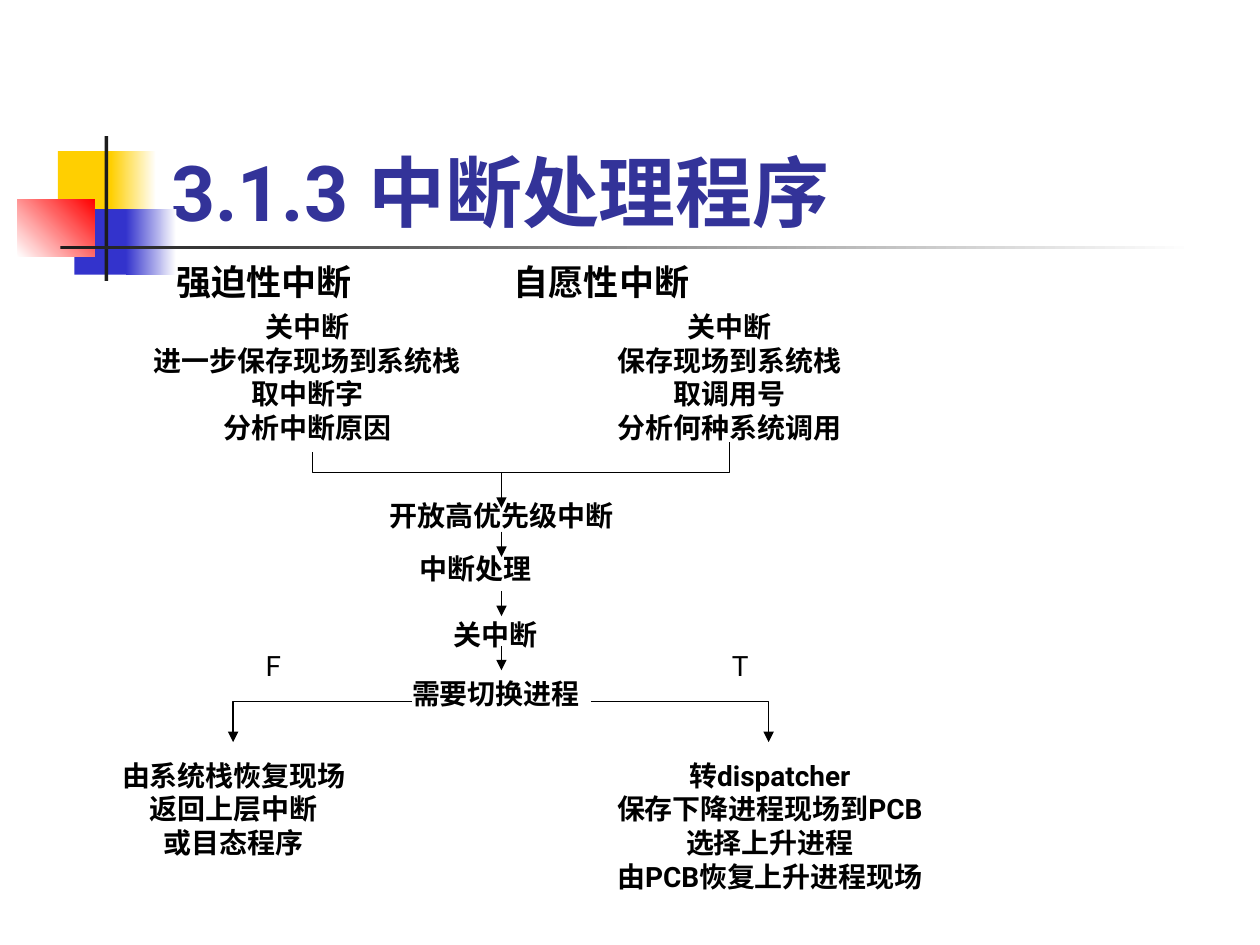
from dataclasses import dataclass

from lxml.etree import SubElement
from pptx import Presentation
from pptx.dml.color import RGBColor
from pptx.enum.shapes import MSO_CONNECTOR, MSO_SHAPE
from pptx.enum.text import MSO_ANCHOR, MSO_AUTO_SIZE, PP_ALIGN
from pptx.oxml.ns import qn
from pptx.util import Inches, Pt


@dataclass(frozen=True)
class Theme:
    font: str = "Roboto"
    title_size: int = 44
    heading_size: int = 20
    body_size: int = 16
    line_width: float = 0.75
    title: str = "333399"
    text: str = "000000"
    yellow: str = "FFCF01"
    blue: str = "3333CC"
    red: str = "FF0000"
    dark: str = "1C1C1C"
    white: str = "FFFFFF"


THEME = Theme()


def rgb(color):
    return RGBColor.from_string(color)


def add_run(p, text, size, color=THEME.text, bold=True):
    r = p.add_run()
    r.text = text
    r.font.name = THEME.font
    r.font.size = Pt(size)
    r.font.bold = bold
    r.font.color.rgb = rgb(color)
    SubElement(r.font._element, qn("a:ea"), typeface=THEME.font)


def add_title(slide, text):
    sp = slide.shapes.title
    sp.left, sp.top, sp.width, sp.height = map(Inches, (1.26, 0.68, 8.52, 1.25))
    tf = sp.text_frame
    tf.auto_size = MSO_AUTO_SIZE.NONE
    tf.vertical_anchor = MSO_ANCHOR.BOTTOM
    p = tf.paragraphs[0]
    p.alignment = PP_ALIGN.LEFT
    add_run(p, text, THEME.title_size, THEME.title)


def add_text(slide, box, *lines, size=THEME.body_size, align=PP_ALIGN.CENTER, bold=True):
    sp = slide.shapes.add_textbox(*map(Inches, box))
    tf = sp.text_frame
    tf.word_wrap = True
    tf.auto_size = MSO_AUTO_SIZE.SHAPE_TO_FIT_TEXT
    for i, line in enumerate(lines):
        p = tf.add_paragraph() if i else tf.paragraphs[0]
        p.alignment = align
        add_run(p, line, size, bold=bold)


def add_block(slide, box, start, end=None, angle=0):
    """Rectangle with a solid fill, or a gradient when an end colour is given."""
    sp = slide.shapes.add_shape(MSO_SHAPE.RECTANGLE, *map(Inches, box))
    sp.shadow.inherit = False
    sp.line.fill.background()
    if end is None:
        sp.fill.solid()
        sp.fill.fore_color.rgb = rgb(start)
        return
    sp.fill.gradient()
    sp.fill.gradient_angle = angle
    for stop, color in zip(sp.fill.gradient_stops, (start, end)):
        stop.color.rgb = rgb(color)


def style_line(line, arrow):
    line.color.rgb = rgb(THEME.text)
    line.width = Pt(THEME.line_width)
    if arrow:
        SubElement(line._get_or_add_ln(), qn("a:tailEnd"), type="triangle")


def add_arrow(slide, x, top, bottom):
    cx = slide.shapes.add_connector(
        MSO_CONNECTOR.STRAIGHT, Inches(x), Inches(top), Inches(x), Inches(bottom))
    style_line(cx.line, arrow=True)
    SubElement(cx._element.spPr, qn("a:effectLst"))


def add_path(slide, points, arrow=False):
    first, *rest = [(Inches(x), Inches(y)) for x, y in points]
    builder = slide.shapes.build_freeform(*first)
    builder.add_line_segments(rest, close=False)
    sp = builder.convert_to_shape()
    sp.shadow.inherit = False
    sp.fill.background()
    style_line(sp.line, arrow)


def add_decoration(slide):
    t = THEME
    add_block(slide, (0.46, 1.2, 0.48, 0.52), t.yellow)
    add_block(slide, (0.88, 1.2, 0.36, 0.52), t.yellow, t.white)
    add_block(slide, (0.59, 1.66, 0.46, 0.52), t.blue)
    add_block(slide, (1, 1.66, 0.4, 0.52), t.blue, t.white)
    add_block(slide, (0.14, 1.58, 0.61, 0.46), t.white, t.red, angle=45)
    add_block(slide, (0.83, 1.08, 0.03, 1.15), t.dark)
    add_block(slide, (0.48, 1.95, 9, 0.03), t.dark, t.white)


def main():
    prs = Presentation()
    prs.slide_width, prs.slide_height = Inches(10), Inches(7.5)
    slide = prs.slides.add_slide(prs.slide_layouts[5])

    # Title and its ornament
    add_decoration(slide)
    add_title(slide, "3.1.3 中断处理程序")

    # Two kinds of interrupt and their entry steps
    for x, heading in ((1.3, "强迫性中断"), (3.98, "自愿性中断")):
        add_text(slide, (x, 2.02, 1.89, 0.43), heading,
                 size=THEME.heading_size, align=PP_ALIGN.LEFT)
    add_text(slide, (1.06, 2.41, 2.76, 1.17),
             "关中断", "进一步保存现场到系统栈", "取中断字", "分析中断原因")
    add_text(slide, (4.69, 2.41, 2.2, 1.17),
             "关中断", "保存现场到系统栈", "取调用号", "分析何种系统调用")

    # Shared steps down the middle
    add_text(slide, (2.72, 3.91, 2.52, 0.37), "开放高优先级中断")
    add_text(slide, (3.23, 4.33, 2.01, 0.37), "中断处理", align=PP_ALIGN.LEFT)
    add_text(slide, (3.11, 4.85, 1.65, 0.37), "关中断")
    add_text(slide, (3.11, 5.32, 1.65, 0.37), "需要切换进程")

    # Outcomes of the decision
    for x, label in ((2.01, "F"), (5.71, "T")):
        add_text(slide, (x, 5.1, 0.32, 0.37), label, align=PP_ALIGN.LEFT, bold=False)
    add_text(slide, (0.83, 5.97, 2.05, 0.9),
             "由系统栈恢复现场", "返回上层中断", "或目态程序")
    add_text(slide, (4.69, 5.97, 2.84, 1.17),
             "转dispatcher", "保存下降进程现场到PCB", "选择上升进程", "由PCB恢复上升进程现场")

    # Merge bracket, downward arrows and branches
    add_path(slide, ((2.48, 3.59), (2.48, 3.75), (5.79, 3.75), (5.79, 3.51)))
    for top, bottom in ((3.75, 4.03), (4.22, 4.42), (4.69, 4.89), (5.13, 5.32)):
        add_arrow(slide, 3.98, top, bottom)
    for start, end in ((3.27, 1.85), (4.69, 6.1)):
        add_path(slide, ((start, 5.57), (end, 5.57), (end, 5.89)), arrow=True)

    prs.save("out.pptx")


if __name__ == "__main__":
    main()
